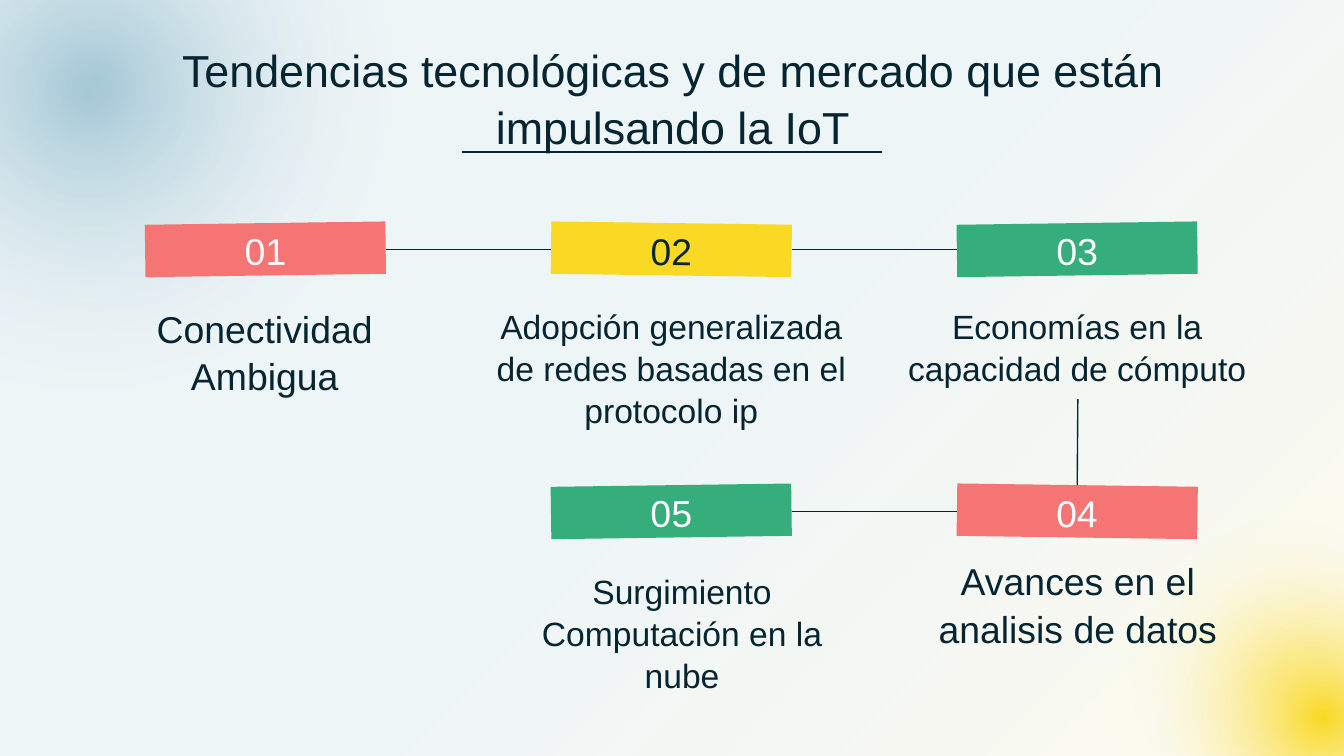
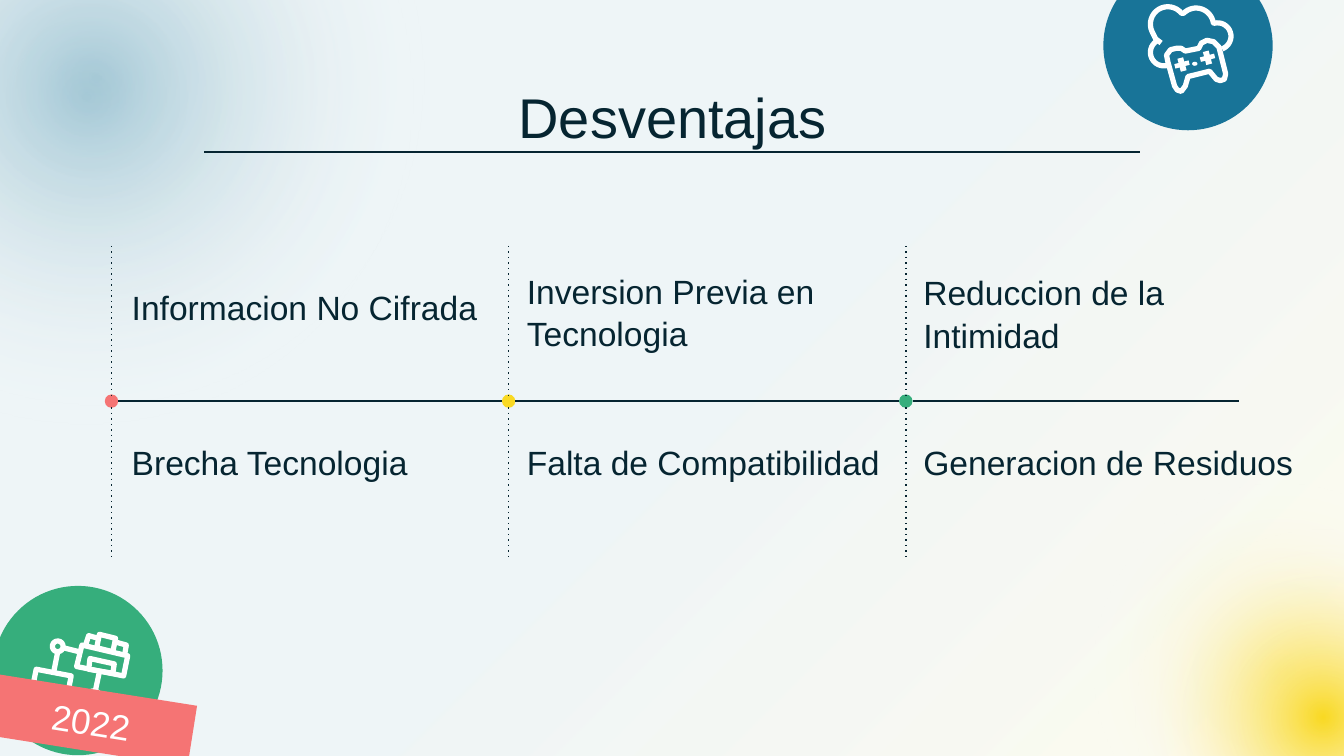
from math import cos, radians, sin

from lxml import etree
from pptx import Presentation
from pptx import util as u
from pptx.dml import color
from pptx.enum import shapes, text
from pptx.oxml import parse_xml
from pptx.oxml.ns import qn

FONT = "Arial"
INK, WHITE = "062531", "FFFFFF"
CORAL, YELLOW, GREEN, BLUE = "F57474", "F9D923", "36AE7C", "187498"
WIDTH, HEIGHT = 10, 5.625
RECT, OVAL, CROSS = (shapes.MSO_SHAPE.RECTANGLE, shapes.MSO_SHAPE.OVAL,
                     shapes.MSO_SHAPE.CROSS)
A_NS = "http://schemas.openxmlformats.org/drawingml/2006/main"


def paint(target, value):
    """Give a fill a solid colour from a hex string."""
    target.solid()
    target.fore_color.rgb = color.RGBColor.from_string(value)


def place(shape, left, top, width, height, angle=0):
    """Move and size a shape in inches."""
    shape.left, shape.top = u.Inches(left), u.Inches(top)
    shape.width, shape.height = u.Inches(width), u.Inches(height)
    shape.rotation = angle


def write(shape, words, size, ink=INK, centred=True, middle=False):
    """Fill a shape's frame with one formatted run."""
    frame = shape.text_frame
    frame.word_wrap = True
    frame.auto_size = text.MSO_AUTO_SIZE.NONE
    frame.margin_left = frame.margin_right = frame.margin_top = frame.margin_bottom = 0
    frame.vertical_anchor = text.MSO_ANCHOR.MIDDLE if middle else text.MSO_ANCHOR.TOP
    para = frame.paragraphs[0]
    para.alignment = text.PP_ALIGN.CENTER if centred else text.PP_ALIGN.LEFT
    para.line_spacing = 1.05
    para.space_before = u.Pt(0)
    span = para.add_run()
    span.text = words
    span.font.name, span.font.size = FONT, u.Pt(size)
    paint(span.font.fill, ink)


def add_block(page, preset, left, top, width, height, fill, angle=0):
    """Add a flat preset shape without outline."""
    block = page.shapes.add_shape(preset, 0, 0, 0, 0)
    place(block, left, top, width, height, angle)
    block.shadow.inherit = False
    block.line.fill.background()
    paint(block.fill, fill)
    return block


def add_label(page, left, top, width, height, words, size, centred=True):
    """Add a text box."""
    box = page.shapes.add_textbox(0, 0, 0, 0)
    place(box, left, top, width, height)
    write(box, words, size, centred=centred)


def add_line(page, start, end, dotted=False):
    """Add a thin straight connector between two points."""
    line = page.shapes.add_connector(
        shapes.MSO_CONNECTOR.STRAIGHT, *(u.Inches(v) for v in (*start, *end)))
    line.line.width = u.Pt(0.75)
    paint(line.line.fill, INK)
    if dotted:
        outline = line.element.spPr.find(qn("a:ln"))
        etree.SubElement(outline, qn("a:prstDash")).set("val", "dot")
    etree.SubElement(line.element.spPr, qn("a:effectLst"))
    return line


def add_title(page, words, top, size, rule_width):
    """Fill the title placeholder and underline it."""
    place(page.shapes.title, 0.95, top, 8.11, 0.51)
    write(page.shapes.title, words, size)
    left = (WIDTH - rule_width) / 2
    add_line(page, (left, 1.13), (left + rule_width, 1.13))


def add_stroke(page, points, closed=False, width=2.8):
    """Draw a white outline through points in inches."""
    points = [(u.Inches(x), u.Inches(y)) for x, y in points]
    builder = page.shapes.build_freeform(*points[0], scale=1.0)
    builder.add_line_segments(points[1:], close=closed)
    stroke = builder.convert_to_shape()
    stroke.shadow.inherit = False
    stroke.fill.background()
    stroke.line.width = u.Pt(width)
    paint(stroke.line.fill, WHITE)


def arc(x, y, radius, first, last, steps=16):
    """Return points on an arc, with angles in degrees."""
    angles = [radians(first + (last - first) * i / steps) for i in range(steps + 1)]
    return [(x + radius * cos(a), y + radius * sin(a)) for a in angles]


def set_gradient(shape, stops, direction):
    """Replace a fill by a gradient of (position, colour, opacity) stops."""
    marks = "".join(
        f'<a:gs pos="{at * 1000}"><a:srgbClr val="{value}">'
        f'<a:alpha val="{opacity * 1000}"/></a:srgbClr></a:gs>'
        for at, value, opacity in stops)
    fill = parse_xml(f'<a:gradFill xmlns:a="{A_NS}" rotWithShape="1">'
                     f"<a:gsLst>{marks}</a:gsLst>{direction}</a:gradFill>")
    old = shape.element.spPr.find(qn("a:solidFill"))
    shape.element.spPr.replace(old, fill)


def build_backdrop(deck, page):
    """Draw the tinted wash and the four glows, and move them to the master."""
    wash = add_block(page, RECT, -0.04, -0.04, WIDTH + 0.08, HEIGHT + 0.08, WHITE)
    set_gradient(wash, [(0, BLUE, 7), (50, BLUE, 7), (100, YELLOW, 7)],
                 '<a:lin ang="2700000" scaled="0"/>')
    parts = [wash]
    centre = ('<a:path path="circle"><a:fillToRect l="50000" t="50000" '
              'r="50000" b="50000"/></a:path>')
    for left, top, size, tint, opacity in (
            (-2.76, -2.9, 6.96, BLUE, 19), (7.55, 3.01, 3.94, YELLOW, 31),
            (-2.84, -2.76, 6.96, BLUE, 19), (7.87, 3.36, 3.94, YELLOW, 100)):
        glow = add_block(page, OVAL, left, top, size, size, WHITE)
        set_gradient(glow, [(0, tint, opacity), (50, WHITE, 0), (100, WHITE, 0)], centre)
        parts.append(glow)
    tree = deck.slide_master.shapes.element
    for order, part in enumerate(parts):
        part.element.xpath("./p:nvSpPr/p:cNvPr")[0].set("id", str(100 + order))
        tree.insert(2 + order, part.element)


def build_trends(page):
    """Build the five linked trend steps."""
    add_title(page, "Tendencias tecnológicas y de mercado que están impulsando la IoT",
              0.3, 24, 3.12)
    left, step, width, height = 1.08, 3.02, 1.79, 0.39
    rows = (1.66, 3.61)
    tags = []
    for number, column, row, fill, tilt in (
            ("01", 0, 0, CORAL, -0.8), ("02", 1, 0, YELLOW, 0.8), ("03", 2, 0, GREEN, -0.8),
            ("04", 2, 1, CORAL, 0.8), ("05", 1, 1, GREEN, -0.8)):
        tag = add_block(page, RECT, left + column * step, rows[row], width, height, fill, tilt)
        write(tag, number, 20, INK if fill == YELLOW else WHITE, middle=True)
        tags.append(tag)
    for first, out, second, into in ((0, 3, 1, 1), (1, 3, 2, 1), (3, 1, 4, 3)):
        link = add_line(page, (0, 0), (1, 1))
        link.begin_connect(tags[first], out)
        link.end_connect(tags[second], into)
    drop = add_line(page, (8.02, 2.97), (8.03, rows[1]))
    drop.end_connect(tags[3], 0)
    for x, y, box_width, words, size in (
            (0.86, 2.26, 2.22, "Conectividad Ambigua", 20),
            (3.66, 2.26, 2.67, "Adopción generalizada de redes basadas en el protocolo ip", 18),
            (6.68, 2.26, 2.67, "Economías en la capacidad de cómputo", 18),
            (6.91, 4.14, 2.22, "Avances en el analisis de datos", 20),
            (3.74, 4.23, 2.67, "Surgimiento Computación en la nube", 18)):
        add_label(page, x, y, box_width, 0.81, words, size)


def draw_network(page):
    """Draw the green badge with linked devices."""
    add_block(page, OVAL, -0.05, 4.36, 1.26, 1.26, GREEN)
    for outline in (
            [(0.61, 4.8), (0.95, 4.88), (0.92, 5.03), (0.57, 4.96)],
            [(0.74, 4.72), (0.86, 4.75), (0.84, 4.85), (0.72, 4.82)],
            [(0.67, 4.9), (0.85, 4.94), (0.84, 5.01), (0.66, 4.98)],
            [(0.27, 4.98), (0.53, 5.03), (0.49, 5.24), (0.23, 5.18)],
            arc(0.43, 4.81, 0.04, 0, 338), arc(0.7, 5.18, 0.04, 0, 338)):
        add_stroke(page, outline, closed=True)
    for outline in (
            [(0.64, 4.79), (0.66, 4.73), (0.73, 4.75)],
            [(0.87, 4.78), (0.94, 4.8), (0.93, 4.86)],
            [(0.47, 4.82), (0.59, 4.85)], [(0.43, 4.85), (0.4, 5)],
            [(0.74, 5), (0.71, 5.14)]):
        add_stroke(page, outline)


def draw_cloud_game(page):
    """Draw the blue badge with a cloud and a game controller."""
    add_block(page, OVAL, 8.21, -0.29, 1.26, 1.26, BLUE)
    cloud = [(8.64, 0.32), (8.6, 0.29)]
    for lobe in ((8.69, 0.18, 0.13, 155, 322), (8.9, 0.19, 0.13, 225, 351),
                 (9.06, 0.27, 0.1, 255, 430)):
        cloud += arc(*lobe)
    add_stroke(page, cloud)
    add_stroke(page, arc(8.66, 0.39, 0.1, 235, 75))
    add_stroke(page, [
        (8.69, 0.46), (8.68, 0.41), (8.71, 0.37), (8.75, 0.36), (8.79, 0.36),
        (8.82, 0.38), (8.92, 0.36), (8.94, 0.32), (8.98, 0.3), (9.03, 0.31),
        (9.07, 0.35), (9.12, 0.55), (9.11, 0.59), (9.08, 0.6), (9.05, 0.59),
        (9, 0.53), (8.84, 0.57), (8.82, 0.64), (8.79, 0.68), (8.76, 0.67),
        (8.74, 0.64)], closed=True)
    for x, y in ((8.93, 0.38), (8.74, 0.43)):
        pad = add_block(page, CROSS, x, y, 0.11, 0.1, WHITE, -14.8)
        pad.adjustments[0] = 0.33
    add_block(page, OVAL, 8.87, 0.46, 0.04, 0.03, WHITE)


def build_drawbacks(page):
    """Build the timeline of drawbacks with its two badges."""
    add_title(page, "Desventajas", 0.59, 30, 6.96)
    first, step, axis, dot = 0.83, 2.955, 2.985, 0.1
    for column, (fill, label_left, upper, upper_top, lower) in enumerate((
            (CORAL, 0.98, "Informacion No Cifrada", 2.12, "Brecha Tecnologia"),
            (YELLOW, 3.92, "Inversion Previa en Tecnologia", 2, "Falta de Compatibilidad"),
            (GREEN, 6.87, "Reduccion de la Intimidad", 2.01, "Generacion de Residuos"))):
        x = first + column * step
        add_block(page, OVAL, x - dot / 2, axis - dot / 2, dot, dot, fill)
        end = 9.22 if column == 2 else x + step - dot / 2
        add_line(page, (x + dot / 2, axis), (end, axis))
        for top in (1.83, 3.03):
            add_line(page, (x, top), (x, top + 1.11), dotted=True)
        for top, words in ((upper_top, upper), (3.27, lower)):
            add_label(page, label_left, top, 2.82, 0.38, words, 18, centred=False)
    draw_network(page)
    ribbon = page.placeholders[1]
    place(ribbon, -0.08, 5.13, 1.52, 0.46, 9)
    paint(ribbon.fill, CORAL)
    write(ribbon, "2022", 19, WHITE, middle=True)
    page.shapes.element.append(ribbon.element)
    draw_cloud_game(page)


def main():
    """Build and save the deck."""
    deck = Presentation()
    deck.slide_width, deck.slide_height = u.Inches(WIDTH), u.Inches(HEIGHT)
    trends = deck.slides.add_slide(deck.slide_layouts[5])
    build_backdrop(deck, trends)
    build_trends(trends)
    build_drawbacks(deck.slides.add_slide(deck.slide_layouts[0]))
    deck.save("out.pptx")


if __name__ == "__main__":
    main()
